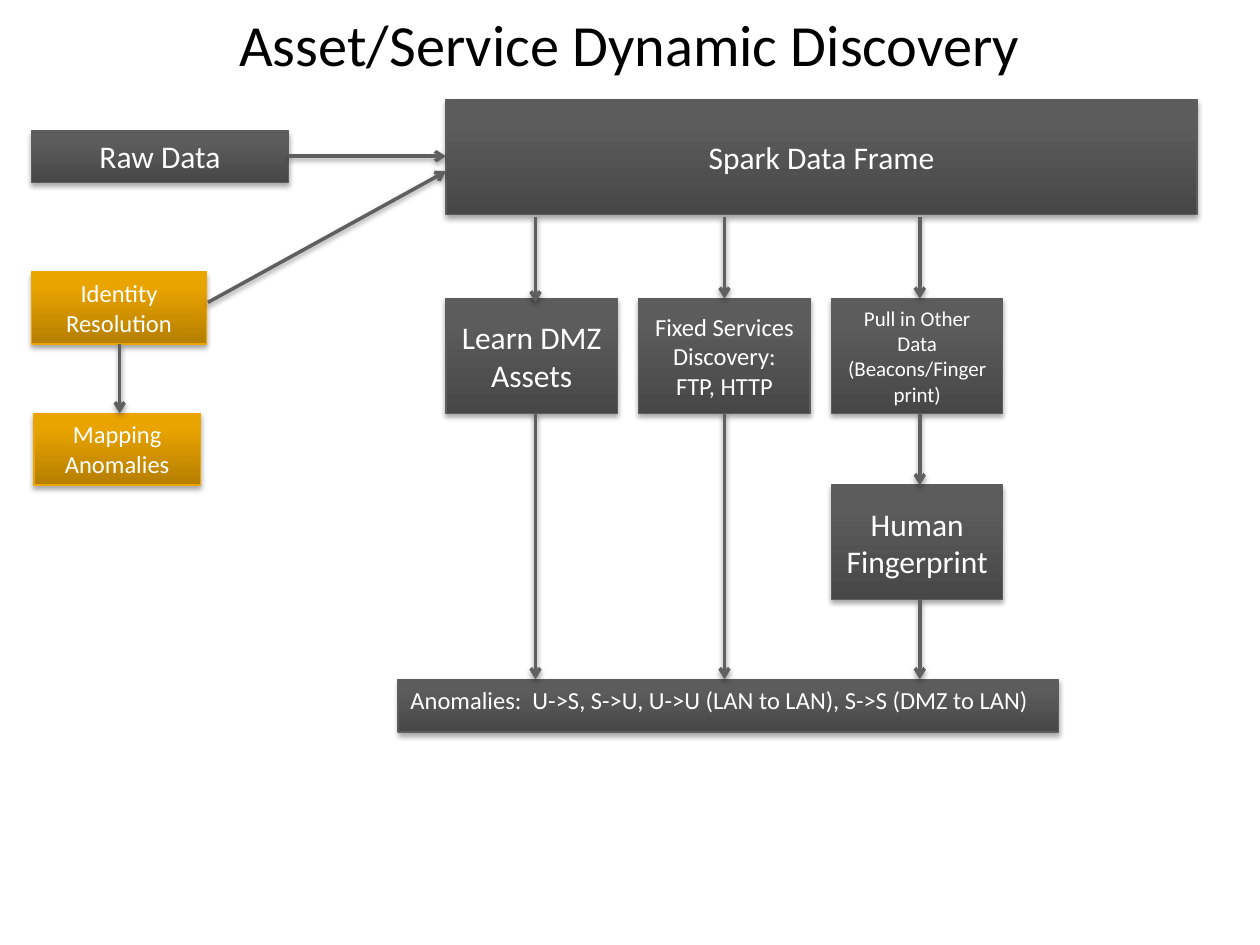
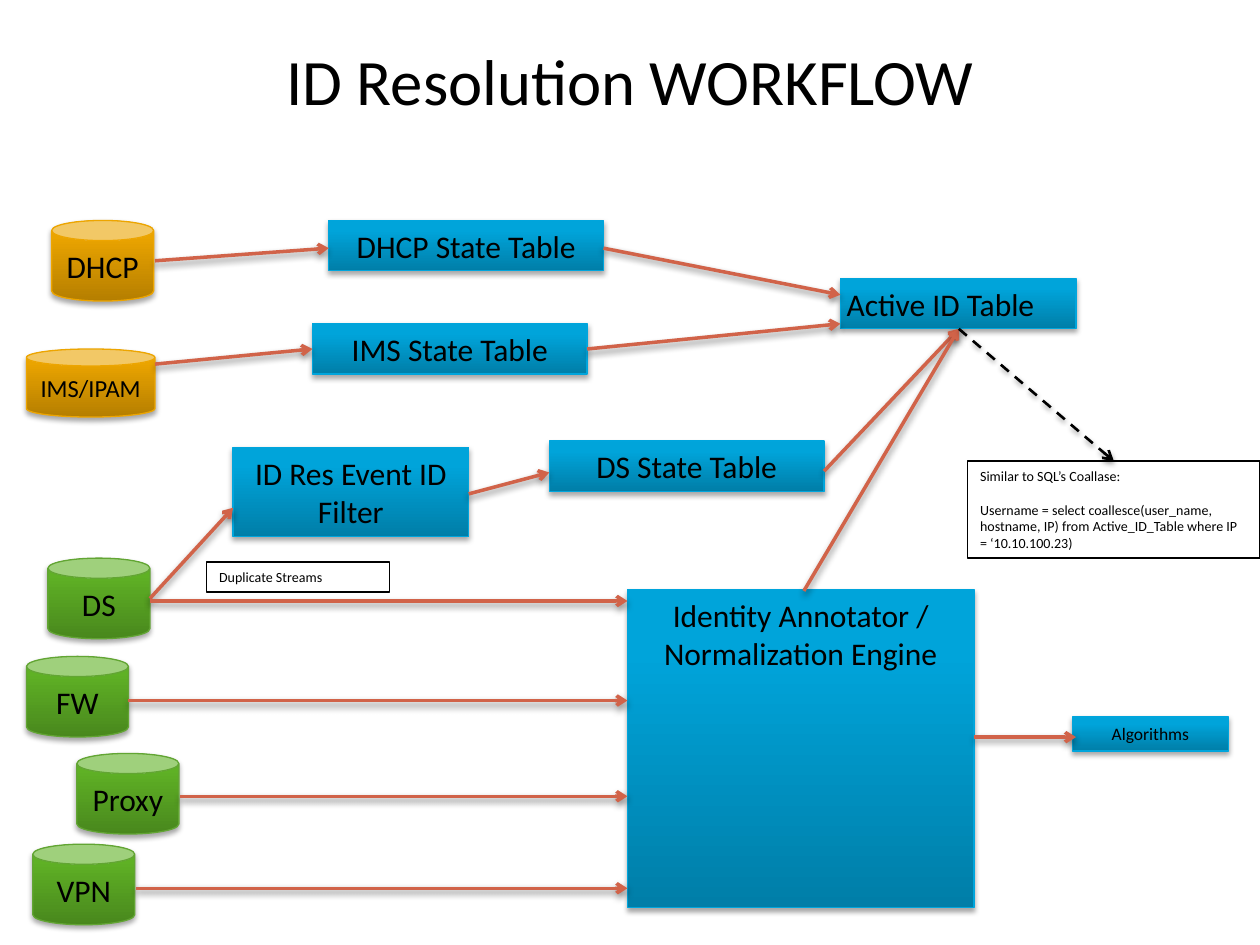
from pptx import Presentation
from pptx.util import Inches, Pt
from pptx.dml.color import RGBColor
from pptx.enum.dml import MSO_LINE
from pptx.enum.shapes import MSO_CONNECTOR, MSO_SHAPE
from pptx.enum.text import MSO_ANCHOR, PP_ALIGN
from pptx.oxml import parse_xml
from pptx.oxml.ns import nsdecls, qn

RECT, CAN = MSO_SHAPE.RECTANGLE, MSO_SHAPE.CAN
STRAIGHT, DASH = MSO_CONNECTOR.STRAIGHT, MSO_LINE.DASH
TOP, MIDDLE = MSO_ANCHOR.TOP, MSO_ANCHOR.MIDDLE
LEFT, CENTER = PP_ALIGN.LEFT, PP_ALIGN.CENTER

BLACK = RGBColor(0x00, 0x00, 0x00)
WHITE = RGBColor(0xFF, 0xFF, 0xFF)
STEEL = RGBColor(0x5F, 0x5F, 0x5F)
RUST = RGBColor(0xD1, 0x63, 0x49)
GREY = (RGBColor(0x47, 0x47, 0x47), RGBColor(0x5C, 0x5C, 0x5C), RGBColor(0x5D, 0x5D, 0x5D))
AMBER = (RGBColor(0xB5, 0x7E, 0x00), RGBColor(0xEA, 0xA4, 0x00), RGBColor(0xED, 0xA5, 0x00))
GREEN = (RGBColor(0x49, 0x88, 0x1D), RGBColor(0x5F, 0xB1, 0x25), RGBColor(0x62, 0xA5, 0x33))
BLUE = (RGBColor(0x00, 0x7E, 0xA8), RGBColor(0x00, 0xA4, 0xDA), RGBColor(0x00, 0xA5, 0xDC))

FONT = "Calibri"
SHADOW = (
    "<a:effectLst %s>"
    '<a:outerShdw blurRad="%d" dist="%d" dir="5400000" rotWithShape="0">'
    '<a:srgbClr val="000000"><a:alpha val="%d"/></a:srgbClr>'
    "</a:outerShdw></a:effectLst>"
)
BOX_SHADOW = (Pt(3.1), Pt(1.8), 35000)
STEEL_SHADOW = (Pt(3.1), Pt(1.6), 38000)
RUST_SHADOW = (Pt(4), Pt(2), 45000)

prs = Presentation()
prs.slide_width, prs.slide_height = Inches(10), Inches(7.5)
COL, ROW = prs.slide_width / 100, prs.slide_height / 75


def box(s, kind, at, text, size, palette=None, color=BLACK, anchor=MIDDLE, align=CENTER, pad=None):
    x, y, w, h = at
    sp = s.shapes.add_shape(kind, int(x * COL), int(y * ROW), int(w * COL), int(h * ROW))
    sp.shadow.inherit = False
    sp.line.width = Pt(0.75)
    if palette:
        dark, light, edge = palette
        sp.fill.gradient()
        sp.fill.gradient_angle = 90
        for stop, rgb, place in zip(sp.fill.gradient_stops, (dark, light), (0, 0.8)):
            stop.color.rgb = rgb
            stop.position = place
        sp.line.color.rgb = edge
        spPr = sp._element.spPr
        spPr.remove(spPr.find(qn("a:effectLst")))
        spPr.append(parse_xml(SHADOW % (nsdecls("a"), *BOX_SHADOW)))
    else:
        sp.fill.background()
        sp.line.color.rgb = BLACK
    tf = sp.text_frame
    tf.word_wrap = True
    tf.vertical_anchor = anchor
    if pad:
        tf.margin_left = tf.margin_right = int(pad * COL)
        tf.margin_top = tf.margin_bottom = int(pad * ROW)
    for i, words in enumerate(text.split("\n")):
        p = tf.add_paragraph() if i else tf.paragraphs[0]
        p.alignment = align
        r = p.add_run()
        r.text = words
        r.font.name, r.font.size, r.font.color.rgb = FONT, Pt(size), color
    return sp


def arrow(s, x1, y1, x2, y2, color, shadow, width=2, dash=None):
    c = s.shapes.add_connector(STRAIGHT, int(x1 * COL), int(y1 * ROW), int(x2 * COL), int(y2 * ROW))
    c.line.color.rgb = color
    c.line.width = Pt(width)
    if dash:
        c.line.dash_style = dash
    spPr = c._element.spPr
    spPr.find(qn("a:ln")).append(parse_xml('<a:tailEnd %s type="arrow"/>' % nsdecls("a")))
    spPr.append(parse_xml(SHADOW % (nsdecls("a"), *shadow)))


slides = []
for title, x, y, w, h, size in [
    ("Asset/Service Dynamic Discovery", 5, 1.1, 90, 4.7, 33.3),
    ("ID Resolution WORKFLOW", 0, 0.1, 100, 12.5, 37),
]:
    s = prs.slides.add_slide(prs.slide_layouts[6])
    tf = s.shapes.add_textbox(int(x * COL), int(y * ROW), int(w * COL), int(h * ROW)).text_frame
    tf.word_wrap = True
    tf.vertical_anchor = MIDDLE
    tf.margin_top = tf.margin_bottom = int(0.4 * ROW)
    p = tf.paragraphs[0]
    p.alignment = CENTER
    r = p.add_run()
    r.text = title
    r.font.name, r.font.size, r.font.color.rgb = FONT, Pt(size), BLACK
    slides.append(s)
discovery, workflow = slides

s = discovery
LANES = [35.4 + 15.3 * i for i in range(3)]
STEP_W, STEP_H, STEP_Y, PRINT_Y, END_Y = 13.6, 9.1, 23.7, 38.5, 53.9
box(s, RECT, (2.5, 10.4, 20.4, 4.1), "Raw Data", 18, GREY, WHITE, TOP)
box(s, RECT, (LANES[0], 7.9, 59.6, STEP_H), "Spark Data Frame", 18, GREY, WHITE)
for x, y, text, size in [
    (LANES[0], STEP_Y, "Learn DMZ Assets", 18),
    (LANES[1], STEP_Y, "Fixed Services Discovery: FTP, HTTP", 14),
    (LANES[2], STEP_Y, "Pull in Other Data (Beacons/Fingerprint)", 12),
    (LANES[2], PRINT_Y, "Human Fingerprint", 18),
]:
    box(s, RECT, (x, y, STEP_W, STEP_H), text, size, GREY, WHITE)
for x, y, w, text in [(2.5, 21.6, 13.9, "Identity Resolution"), (2.7, 32.8, 13.2, "Mapping Anomalies")]:
    box(s, RECT, (x, y, w, 5.7), text, 14, AMBER, WHITE, TOP)
box(s, RECT, (31.6, END_Y, 52.4, 4.2),
    "Anomalies:  U->S, S->U, U->U (LAN to LAN), S->S (DMZ to LAN)", 14, GREY, WHITE, TOP, LEFT)

for x1, y1, x2, y2 in [
    (22.9, 12.4, LANES[0], 12.4),
    (16.5, 24, LANES[0], 13.6),
    (9.5, 27.3, 9.5, 32.8),
    (42.5, 17.2, 42.5, 24),
    (57.5, 17.2, 57.5, STEP_Y),
    (73, 17.2, 73, STEP_Y),
    (42.5, 32.8, 42.5, END_Y),
    (57.5, 32.8, 57.5, END_Y),
    (73, 32.8, 73, PRINT_Y),
    (73, 47.6, 73, END_Y),
]:
    arrow(s, x1, y1, x2, y2, STEEL, STEEL_SHADOW)

s = workflow
PAD = 0.5
CAN_W, CAN_H, TABLE_W, TABLE_H = 8.1, 6.4, 21.8, 4
ENGINE_X, ENGINE_Y = 49.8, 46.8
for x, y, w, h, text, size, palette in [
    (4.1, 17.5, CAN_W, CAN_H, "DHCP", 18, AMBER),
    (2.1, 27.7, 10.2, 5.4, "IMS/IPAM", 14, AMBER),
    (3.8, 44.3, CAN_W, CAN_H, "DS", 18, GREEN),
    (2.1, 52.1, CAN_W, CAN_H, "FW", 18, GREEN),
    (6.1, 59.8, CAN_W, CAN_H, "Proxy", 18, GREEN),
    (2.6, 67, CAN_W, CAN_H, "VPN", 18, GREEN),
]:
    box(s, CAN, (x, y, w, h), text, size, palette, pad=PAD)
for x, y, text in [
    (26.1, 17.5, "DHCP State Table"),
    (24.8, 25.7, "IMS State Table"),
    (43.6, 35, "DS State Table"),
]:
    box(s, RECT, (x, y, TABLE_W, TABLE_H), text, 18, BLUE, pad=PAD)
box(s, RECT, (66.7, 22.1, 18.7, TABLE_H), "Active ID Table", 18, BLUE, align=LEFT, pad=PAD)
box(s, RECT, (18.5, 35.5, 18.7, 7.1), "ID Res Event ID Filter", 18, BLUE, pad=PAD)
box(s, RECT, (ENGINE_X, ENGINE_Y, 27.5, 25.2), "Identity Annotator /\nNormalization Engine",
    18, BLUE, anchor=TOP, pad=PAD)
box(s, RECT, (85.1, 56.9, 12.4, 2.7), "Algorithms", 10, BLUE, pad=PAD)
box(s, RECT, (16.4, 44.6, 14.5, 2.4), "Duplicate Streams", 8, anchor=TOP, align=LEFT)
note = box(s, RECT, (76.8, 36.6, 23.2, 7.7),
           "Similar to SQL’s Coallase:\nUsername = select coallesce(user_name, hostname, IP) "
           "from Active_ID_Table where IP = ‘10.10.100.23)", 8, anchor=TOP, align=LEFT)
note.text_frame.paragraphs[1].space_before = Pt(9.8)

for x1, y1, x2, y2 in [
    (12.3, 20.7, 26.1, 19.7),
    (12.3, 28.9, 24.8, 27.7),
    (11.9, 47.5, 18.5, 40.3),
    (37.2, 39.2, 43.6, 37.5),
    (47.9, 19.7, 66.7, 23.4),
    (46.6, 27.7, 66.7, 25.7),
    (65.4, 37.4, 76.1, 26.1),
    (11.9, 47.7, ENGINE_X, 47.7),
    (10.2, 55.6, ENGINE_X, 55.6),
    (14.3, 63.2, ENGINE_X, 63.2),
    (10.8, 70.5, ENGINE_X, 70.5),
    (63.8, 46.9, 76.1, 26.1),
    (77.3, 58.5, 85.4, 58.5),
]:
    arrow(s, x1, y1, x2, y2, RUST, RUST_SHADOW)
arrow(s, 76.1, 26.1, 88.4, 36.6, BLACK, STEEL_SHADOW, 1.5, DASH)

prs.save("out.pptx")
